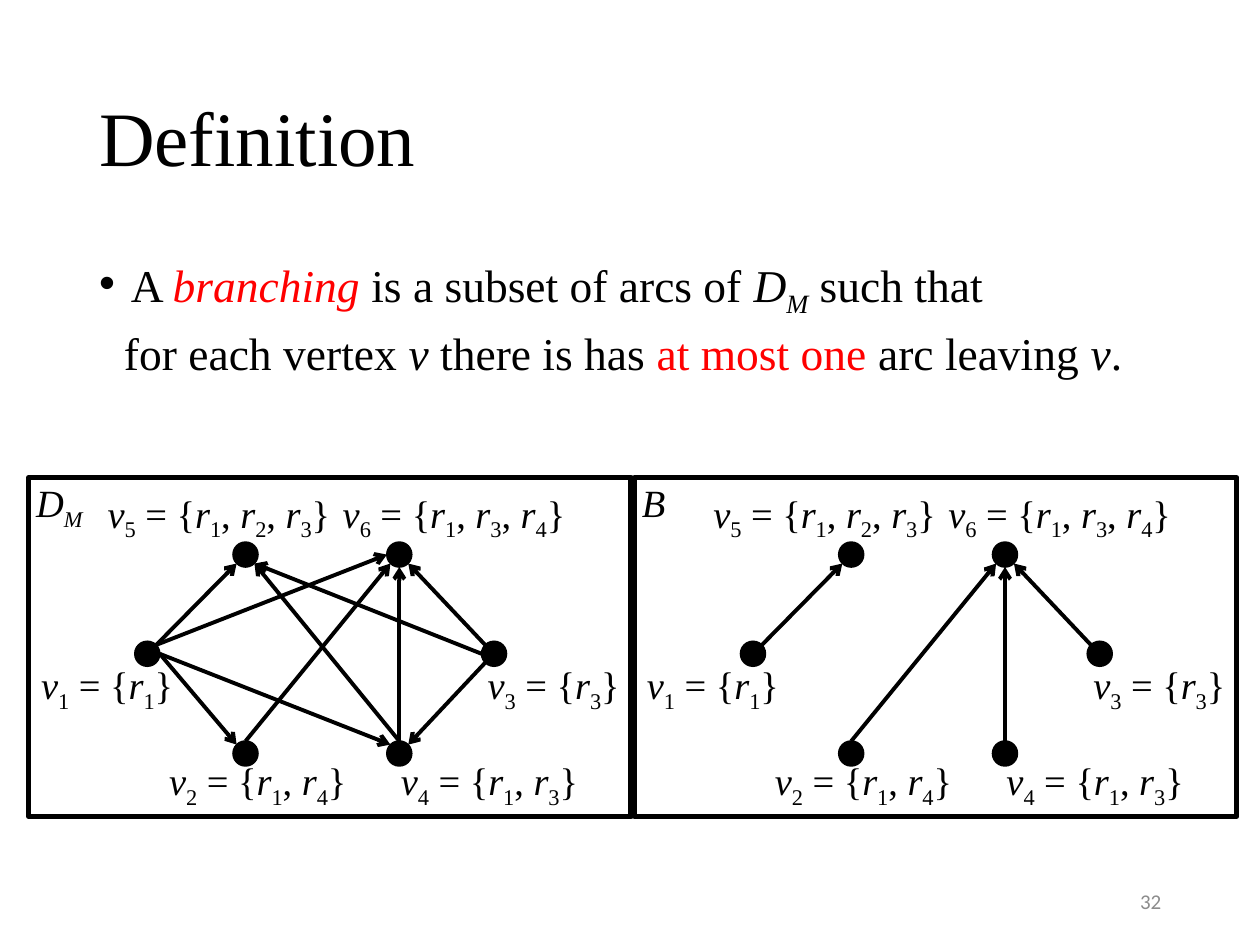
import pptx
import pptx.util
import pptx.dml.color
import pptx.enum.shapes
import pptx.enum.text
import pptx.oxml.ns
import lxml.etree

Cm = pptx.util.Cm
Pt = pptx.util.Pt
MSO_SHAPE = pptx.enum.shapes.MSO_SHAPE
ANCHOR = pptx.enum.text.MSO_ANCHOR
ALIGN = pptx.enum.text.PP_ALIGN
qn = pptx.oxml.ns.qn

COLORS = {"ink": "000000", "accent": "FF0000", "number": "8C8C8C"}
SERIF = "Times New Roman"

RADIUS = 0.25
DIAGONAL = 0.18
PANEL_STEP = 12.21
SITES = {
    "n": (0, -RADIUS), "s": (0, RADIUS), "w": (-RADIUS, 0), "e": (RADIUS, 0),
    "nw": (-DIAGONAL, -DIAGONAL), "ne": (DIAGONAL, -DIAGONAL),
    "sw": (-DIAGONAL, DIAGONAL), "se": (DIAGONAL, DIAGONAL),
}
VERTICES = {
    1: (2.97, 13.18), 2: (4.95, 15.19), 3: (9.96, 13.18),
    4: (8.05, 15.19), 5: (4.95, 11.18), 6: (8.05, 11.18),
}
LABELS = {
    1: ("1", 0.58, 13.2, 3.49), 2: ("14", 3.16, 15.14, 4.19),
    3: ("3", 9.58, 13.2, 3.27), 4: ("13", 7.83, 15.14, 4.19),
    5: ("123", 1.92, 9.75, 5.18), 6: ("134", 6.66, 9.75, 5.18),
}
BRANCHING = [
    (2, "n", 6, "sw"), (4, "n", 6, "s"), (3, "nw", 6, "se"), (1, "ne", 5, "sw"),
]
OTHER_ARCS = [
    (1, "e", 2, "nw"), (1, "ne", 6, "w"), (1, "e", 4, "nw"),
    (3, "sw", 4, "ne"), (3, "w", 5, "se"), (4, "n", 5, "se"),
]


class Deck:
    def __init__(self, prs):
        self.s = prs.slides.add_slide(prs.slide_layouts[6])

    def color(self, name):
        return pptx.dml.color.RGBColor.from_string(COLORS[name])

    def text(self, box, paragraphs, size, font=SERIF, color="ink", wrap=True,
             anchor=ANCHOR.TOP, spacing=None):
        sp = self.s.shapes.add_textbox(*map(Cm, box))
        tf = sp.text_frame
        tf.word_wrap = wrap
        tf.vertical_anchor = anchor
        for i, runs in enumerate(paragraphs):
            p = tf.paragraphs[0] if i == 0 else tf.add_paragraph()
            p.line_spacing = spacing
            for words, style in runs:
                r = p.add_run()
                r.text = words
                r.font.size = Pt(size)
                r.font.name = font
                r.font.italic = "i" in style
                r.font.color.rgb = self.color("accent" if "a" in style else color)
                if "s" in style:
                    r.font._element.set("baseline", "-25000")
        return tf

    def indent(self, p, margin, first, bullet=None):
        pPr = p._p.get_or_add_pPr()
        pPr.set("marL", str(Cm(margin)))
        pPr.set("indent", str(Cm(first)))
        if bullet:
            font = lxml.etree.SubElement(pPr, qn("a:buFont"))
            font.set("typeface", "Arial")
            lxml.etree.SubElement(pPr, qn("a:buChar")).set("char", bullet)

    def shape(self, kind, box, width, filled):
        sp = self.s.shapes.add_shape(kind, *map(Cm, box))
        sp.shadow.inherit = False
        if filled:
            sp.fill.solid()
            sp.fill.fore_color.rgb = self.color("ink")
        else:
            sp.fill.background()
        sp.line.color.rgb = self.color("ink")
        sp.line.width = Pt(width)

    def vertex(self, x, y):
        box = (x - RADIUS, y - RADIUS, 2 * RADIUS, 2 * RADIUS)
        self.shape(MSO_SHAPE.OVAL, box, 1, True)

    def arc(self, start, end):
        line = self.s.shapes.add_connector(
            pptx.enum.shapes.MSO_CONNECTOR.STRAIGHT, *map(Cm, start + end))
        line.line.color.rgb = self.color("ink")
        line.line.width = Pt(2.25)
        ln = line.line._get_or_add_ln()
        lxml.etree.SubElement(ln, qn("a:tailEnd")).set("type", "arrow")
        lxml.etree.SubElement(line._element.spPr, qn("a:effectLst"))

    def label(self, number, dx):
        roots, x, y, width = LABELS[number]
        runs = [("v", "i"), (str(number), "s"), (" = {", "")]
        for i, root in enumerate(roots):
            if i:
                runs.append((", ", ""))
            runs += [("r", "i"), (root, "s")]
        runs.append(("}", ""))
        self.text((x + dx, y, width, 1.19), [runs], 22, wrap=False)

    def panel(self, dx, name, arcs):
        for x, y in VERTICES.values():
            self.vertex(x + dx, y)
        for tail, tail_site, head, head_site in arcs:
            ends = []
            for number, site in ((tail, tail_site), (head, head_site)):
                x, y = VERTICES[number]
                sx, sy = SITES[site]
                ends.append((x + sx + dx, y + sy))
            self.arc(*ends)
        for number in LABELS:
            self.label(number, dx)
        self.shape(MSO_SHAPE.RECTANGLE, (0.58 + dx, 9.63, 12.14, 6.83), 3, False)
        self.text((0.48 + dx, 9.53, 1.52, 1.19), [name], 22)


def main():
    prs = pptx.Presentation()
    prs.slide_width, prs.slide_height = Cm(25.4), Cm(19.05)
    deck = Deck(prs)

    deck.text((1.75, 1.01, 21.9, 3.68), [[("Definition", "")]], 44,
              anchor=ANCHOR.MIDDLE, spacing=0.9)
    body = deck.text((1.75, 5.07, 21.9, 12.09), [
        [("A ", ""), ("branching", "ia"), (" is a subset of arcs of ", ""),
         ("D", "i"), ("M", "is"), (" such that", "")],
        [("for each vertex ", ""), ("v", "i"), (" there is has ", ""),
         ("at most one ", "a"), ("arc leaving ", ""), ("v", "i"), (".", "")],
    ], 26, spacing=0.9)
    first, second = body.paragraphs
    deck.indent(first, 0.64, -0.64, "•")
    deck.indent(second, 0, 0.5)
    second.space_before = Pt(10)

    number = deck.text((17.94, 17.66, 5.72, 1.01), [[("32", "")]], 12,
                       font="Calibri", color="number", anchor=ANCHOR.MIDDLE)
    number.paragraphs[0].alignment = ALIGN.RIGHT

    deck.panel(PANEL_STEP, [("B", "i")], BRANCHING)
    deck.panel(0, [("D", "i"), ("M", "is")], BRANCHING + OTHER_ARCS)
    prs.save("out.pptx")


if __name__ == "__main__":
    main()
